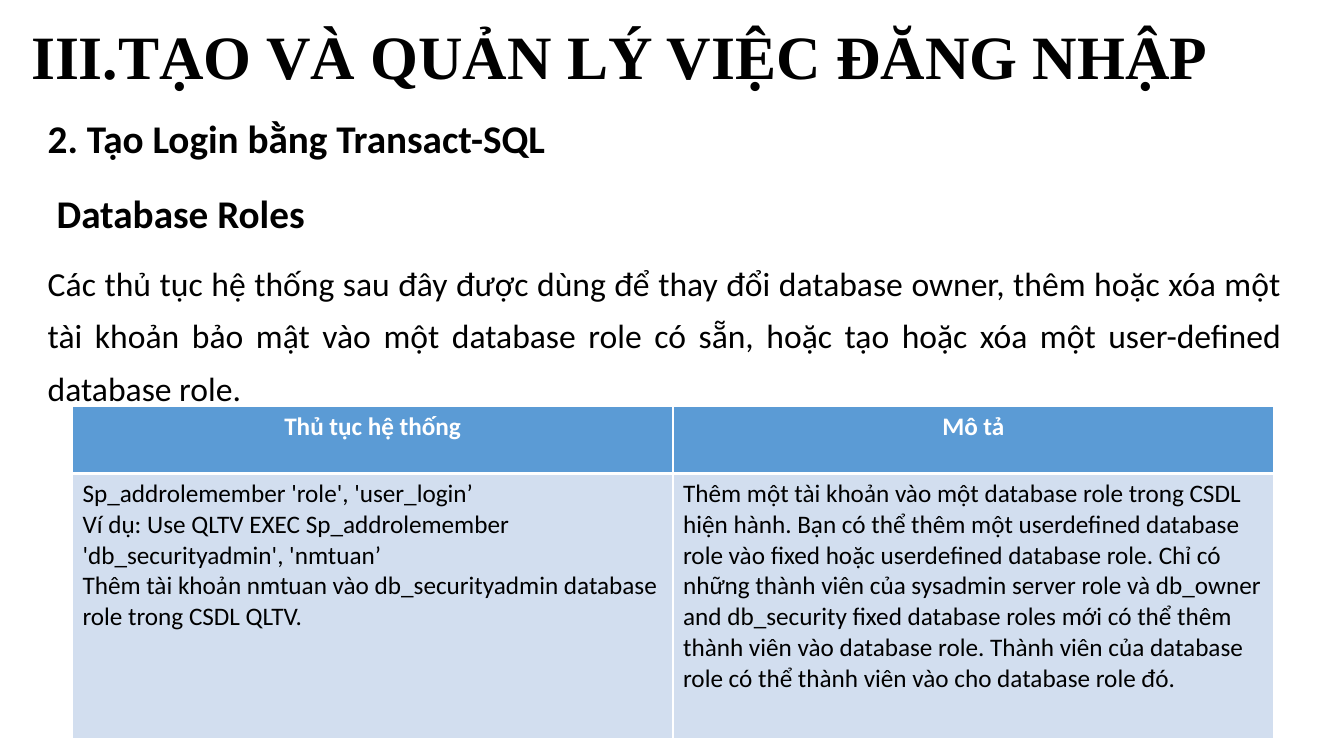
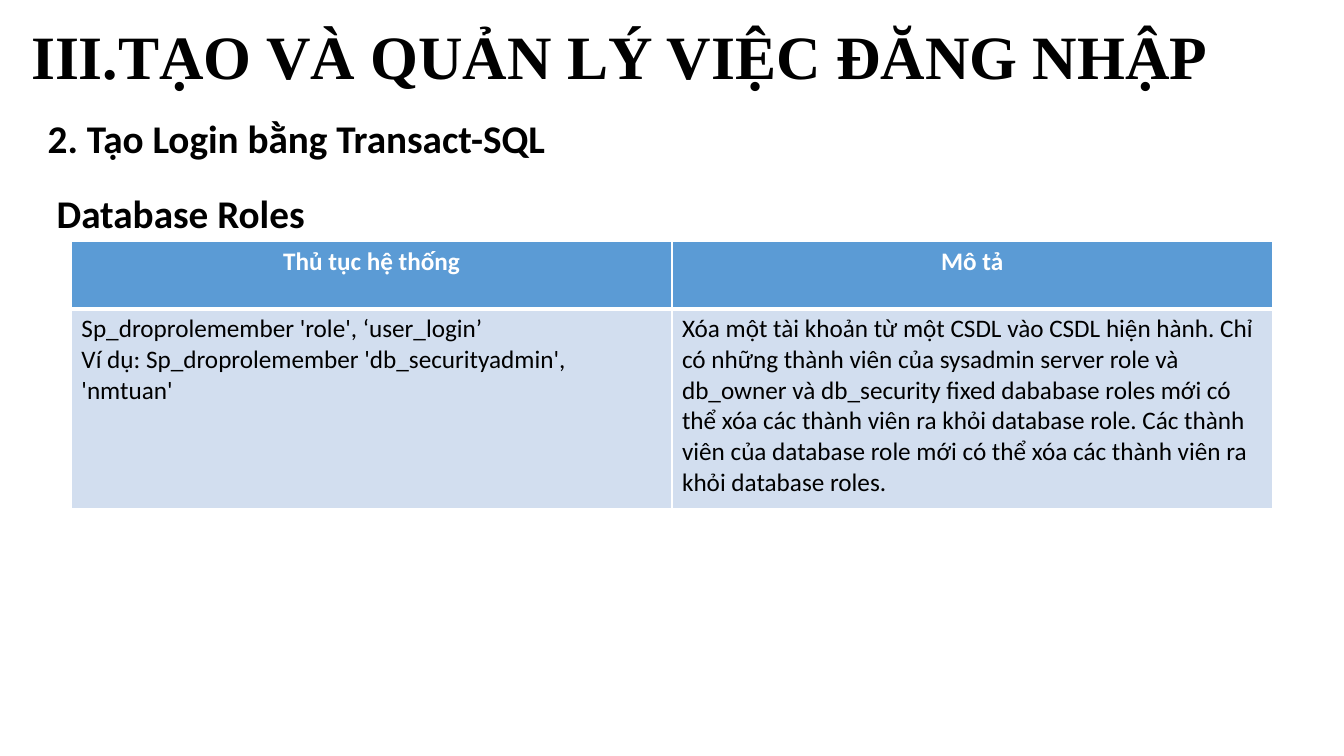
from dataclasses import dataclass

from lxml.etree import SubElement
from pptx import Presentation
from pptx.dml.color import RGBColor
from pptx.enum.text import MSO_ANCHOR, MSO_AUTO_SIZE, PP_ALIGN
from pptx.oxml.ns import qn
from pptx.util import Pt


@dataclass(frozen=True)
class Theme:
    black: RGBColor = RGBColor(0x00, 0x00, 0x00)
    white: RGBColor = RGBColor(0xFF, 0xFF, 0xFF)
    header: RGBColor = RGBColor(0x5B, 0x9B, 0xD5)
    row: RGBColor = RGBColor(0xD2, 0xDE, 0xEF)
    heading_font: str = "Times New Roman"
    body_font: str = "Calibri"
    title_size: int = 44
    subtitle_size: int = 28
    intro_size: int = 24
    table_size: int = 18


THEME = Theme()
PX = 9525
TITLE = "III.TẠO VÀ QUẢN LÝ VIỆC ĐĂNG NHẬP"
SUBTITLES = ["2. Tạo Login bằng Transact-SQL", " Database Roles"]
HEADERS = ["Thủ tục hệ thống", "Mô tả"]
COLUMN_WIDTH = 572
HEADER_HEIGHT = 64

PAGES = [
    {
        "intro": [
            "Các thủ tục hệ thống sau đây được dùng để thay đổi database owner, thêm hoặc xóa một "
            "tài khoản bảo mật vào một database role có sẵn, hoặc tạo hoặc xóa một user-defined "
            "database role."
        ],
        "corner": (69, 387),
        "row_height": 252,
        "procedure": [
            "Sp_addrolemember 'role', 'user_login’",
            "Ví dụ: Use QLTV EXEC Sp_addrolemember 'db_securityadmin', 'nmtuan’",
            "Thêm tài khoản nmtuan vào db_securityadmin database role trong CSDL QLTV.",
        ],
        "description": [
            "Thêm một tài khoản vào một database role trong CSDL hiện hành. Bạn có thể thêm một "
            "userdefined database role vào fixed hoặc userdefined database role. Chỉ có những "
            "thành viên của sysadmin server role và db_owner and db_security fixed database roles "
            "mới có thể thêm thành viên vào database role. Thành viên của database role có thể "
            "thành viên vào cho database role đó."
        ],
    },
    {
        "intro": [],
        "corner": (68, 230),
        "row_height": 190,
        "procedure": [
            "Sp_droprolemember 'role', ‘user_login’",
            "Ví dụ: Sp_droprolemember 'db_securityadmin', 'nmtuan'",
        ],
        "description": [
            "Xóa một tài khoản từ một CSDL vào CSDL hiện hành. Chỉ có những thành viên của sysadmin "
            "server role và db_owner và db_security fixed dababase roles mới có thể xóa các thành "
            "viên ra khỏi database role. Các thành viên của database role mới có thể xóa các thành "
            "viên ra khỏi database roles."
        ],
    },
]


def write(frame, lines, font_format, paragraph_format):
    frame.text = "\n".join(lines)
    for paragraph in frame.paragraphs:
        for name, value in paragraph_format.items():
            setattr(paragraph, name, value)
        for run in paragraph.runs:
            run.font.color.rgb = font_format["color"]
            for name in ("name", "size", "bold"):
                setattr(run.font, name, font_format[name])


def draw_borders(cell, widths):
    properties = cell._tc.get_or_add_tcPr()
    for side, width in widths.items():
        line = SubElement(properties, qn(f"a:ln{side}"), w=str(Pt(width)))
        fill = SubElement(line, qn("a:solidFill"))
        SubElement(fill, qn("a:srgbClr"), val=str(THEME.white))


title_font = {"name": THEME.heading_font, "size": Pt(THEME.title_size), "bold": True, "color": THEME.black}
subtitle_font = {"name": THEME.body_font, "size": Pt(THEME.subtitle_size), "bold": True, "color": THEME.black}
intro_font = {**subtitle_font, "size": Pt(THEME.intro_size), "bold": False}
header_font = {**subtitle_font, "size": Pt(THEME.table_size), "color": THEME.white}
cell_font = {**intro_font, "size": Pt(THEME.table_size)}
body_paragraph = {"alignment": PP_ALIGN.JUSTIFY, "line_spacing": 1.3, "space_before": Pt(10)}

deck = Presentation()
deck.slide_width = 1280 * PX
deck.slide_height = 720 * PX

for page in PAGES:
    slide = deck.slides.add_slide(deck.slide_layouts[5])

    title = slide.shapes.title
    title_box = {"left": 20, "top": -13, "width": 1224, "height": 139}
    for name, value in title_box.items():
        setattr(title, name, value * PX)
    title_frame = {"word_wrap": True, "auto_size": MSO_AUTO_SIZE.NONE, "vertical_anchor": MSO_ANCHOR.MIDDLE}
    for name, value in title_frame.items():
        setattr(title.text_frame, name, value)
    write(title.text_frame, [TITLE], title_font, {"alignment": PP_ALIGN.LEFT, "line_spacing": 0.9})

    body = slide.shapes.add_textbox(36 * PX, 91 * PX, 1194 * PX, 507 * PX).text_frame
    body.word_wrap = True
    write(body, SUBTITLES + page["intro"], subtitle_font, body_paragraph)
    for paragraph in body.paragraphs[len(SUBTITLES):]:
        for run in paragraph.runs:
            run.font.size = intro_font["size"]
            run.font.bold = intro_font["bold"]

    left, top = page["corner"]
    heights = [HEADER_HEIGHT, page["row_height"]]
    procedures = slide.shapes.add_table(
        2, len(HEADERS), left * PX, top * PX, len(HEADERS) * COLUMN_WIDTH * PX, sum(heights) * PX
    ).table
    for column in procedures.columns:
        column.width = COLUMN_WIDTH * PX
    for row, height in zip(procedures.rows, heights):
        row.height = height * PX

    table_rows = [
        ([[header] for header in HEADERS], header_font, PP_ALIGN.CENTER, THEME.header, {"T": 1, "B": 3}),
        ([page["procedure"], page["description"]], cell_font, PP_ALIGN.LEFT, THEME.row, {"T": 3, "B": 1}),
    ]
    for row, (texts, font, alignment, color, edges) in zip(procedures.rows, table_rows):
        for cell, lines in zip(row.cells, texts):
            write(cell.text_frame, lines, font, {"alignment": alignment})
            draw_borders(cell, {"L": 1, "R": 1, **edges})
            cell.fill.solid()
            cell.fill.fore_color.rgb = color

deck.save("out.pptx")
